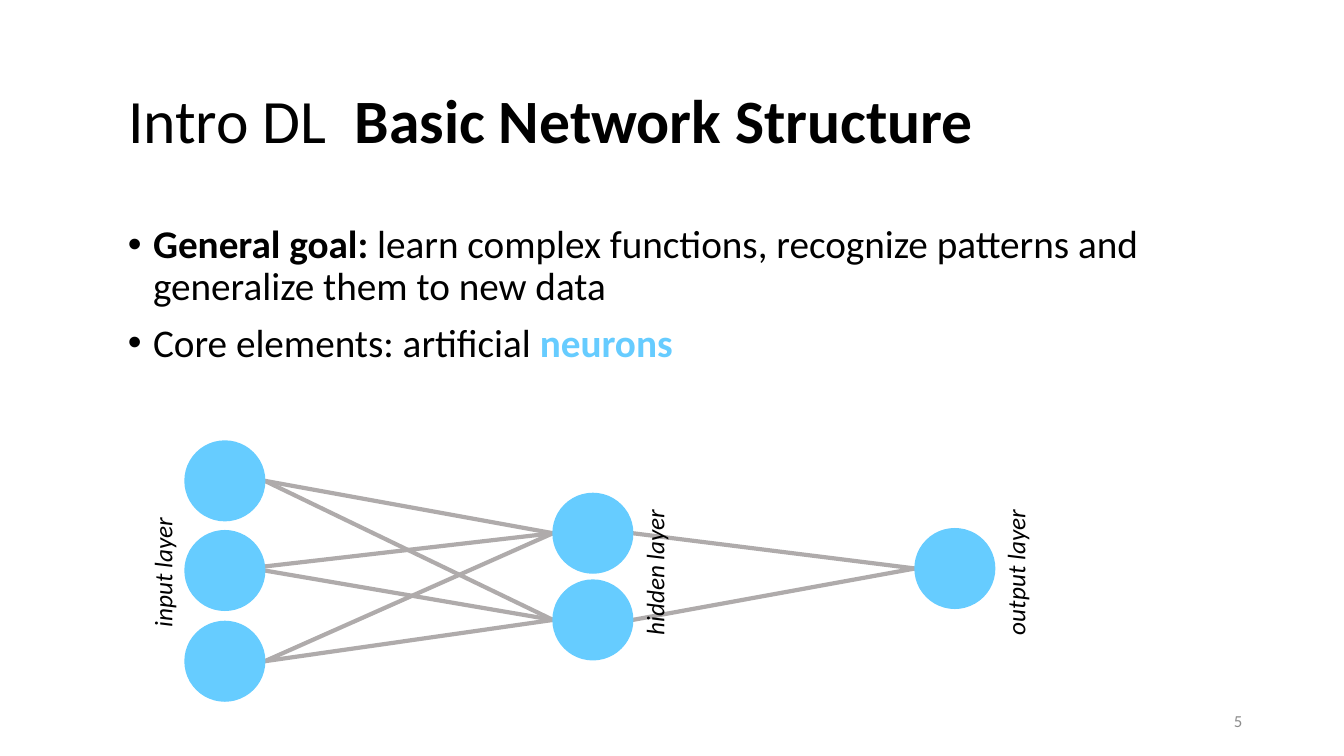
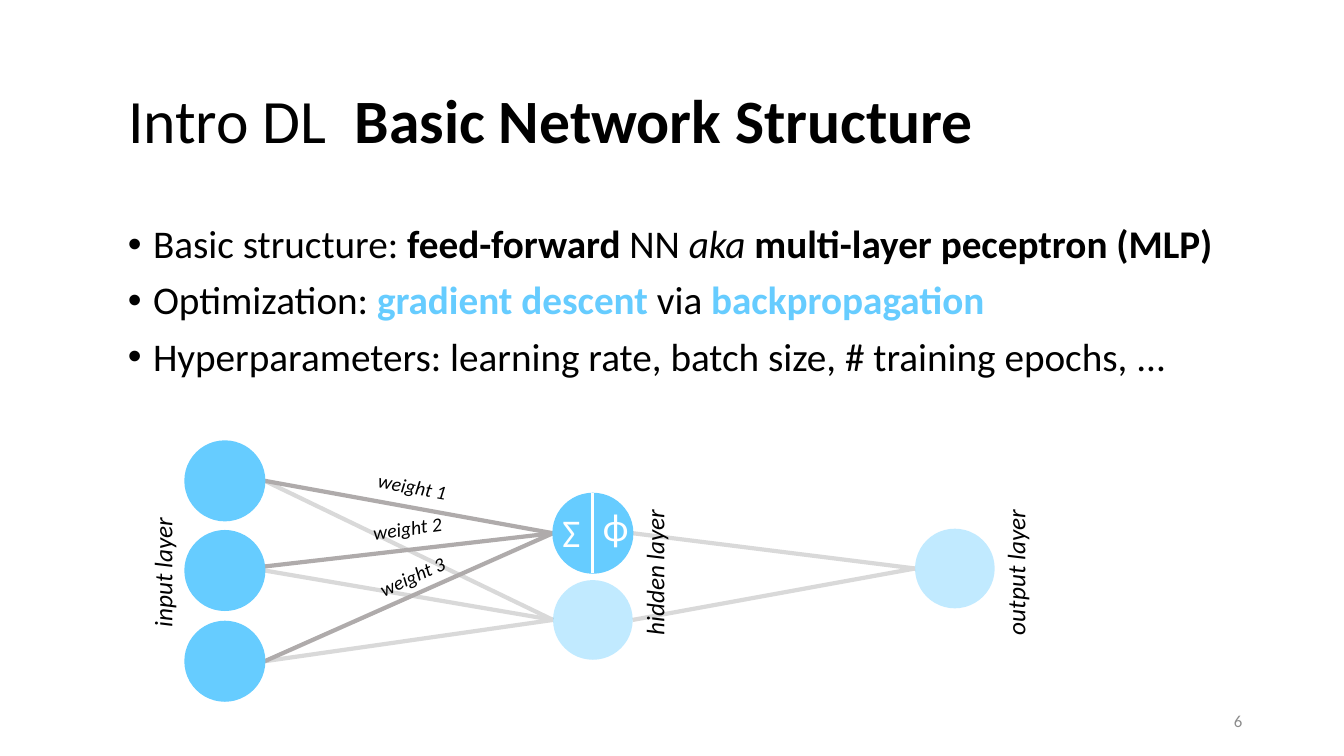
from itertools import product

from lxml import etree
from pptx import Presentation
from pptx.dml.color import RGBColor
from pptx.enum.shapes import MSO_CONNECTOR, MSO_SHAPE
from pptx.enum.text import MSO_ANCHOR, MSO_AUTO_SIZE, PP_ALIGN
from pptx.oxml.ns import qn
from pptx.util import Inches, Pt

STRAIGHT = MSO_CONNECTOR.STRAIGHT
OVAL = MSO_SHAPE.OVAL
MIDDLE = MSO_ANCHOR.MIDDLE
NO_FIT = MSO_AUTO_SIZE.NONE
LEFT, CENTER, RIGHT = PP_ALIGN.LEFT, PP_ALIGN.CENTER, PP_ALIGN.RIGHT

FONT = "Calibri"
BLACK, WHITE, BLUE = "000000", "FFFFFF", "66CCFF"
LINK_GRAY, FAINT_GRAY, NUMBER_GRAY = "AFABAB", "D9D9D9", "8C8C8C"
BOLD = {"bold": True}
ITALIC = {"italic": True}
ACCENT = {"bold": True, "color": BLUE}

DIAMETER = 0.79
FAINT_OPACITY = 40
# Each layer: horizontal centre, then the vertical centres of its neurons
LAYERS = {
    "input": (2.23, [4.77, 5.66, 6.56]),
    "hidden": (5.88, [5.29, 6.15]),
    "output": (9.47, [5.64]),
}
LAYER_LABEL_CENTERS = {"input": 1.61, "hidden": 6.49, "output": 10.07}
LABEL_MIDDLE = 5.68
# The middle input sends its first link out slightly above its centre
START_SHIFTS = {(("input", 1), ("hidden", 0)): -0.04}
NEURONS = [(name, index) for name, (_, middles) in LAYERS.items()
           for index in range(len(middles))]


def rgb(value):
    """Turn a hex string into a colour."""
    return RGBColor.from_string(value)


def set_attributes(target, values):
    """Set every attribute named in a dict."""
    for name, value in values.items():
        setattr(target, name, value)


class Deck:
    """Holds the presentation, its shared style and the current slide."""

    def __init__(self):
        """Start an empty widescreen presentation."""
        self.presentation = Presentation()
        set_attributes(self.presentation, {
            "slide_width": Inches(13.33), "slide_height": Inches(7.5)})
        self.slide = None

    def start_slide(self, number, title_runs):
        """Add a slide with its title and slide number."""
        layout = self.presentation.slide_layouts[5]
        self.slide = self.presentation.slides.add_slide(layout)
        title = self.slide.shapes.title
        set_attributes(title, {
            "left": Inches(1.17), "top": Inches(0.61),
            "width": Inches(11.25), "height": Inches(1.23)})
        set_attributes(title.text_frame, {
            "vertical_anchor": MIDDLE, "word_wrap": True, "auto_size": NO_FIT})
        paragraph = title.text_frame.paragraphs[0]
        set_attributes(paragraph, {"alignment": LEFT, "line_spacing": 0.9})
        self.add_runs(paragraph, title_runs, 44)
        self.text(9.42, 6.95, 3, 0.4, [(str(number), {"color": NUMBER_GRAY})],
                  12, RIGHT).text_frame.vertical_anchor = MIDDLE

    def add_runs(self, paragraph, runs, size):
        """Add (text, format) runs to a paragraph."""
        for text, values in runs:
            run = paragraph.add_run()
            run.text = text
            font_values = {"name": FONT, "size": Pt(size),
                           "bold": False, "italic": False, **values}
            run.font.color.rgb = rgb(font_values.pop("color", BLACK))
            set_attributes(run.font, font_values)

    def text(self, left, top, width, height, runs, size, alignment=LEFT):
        """Add a one-paragraph text box."""
        box = self.slide.shapes.add_textbox(
            Inches(left), Inches(top), Inches(width), Inches(height))
        box.text_frame.word_wrap = True
        paragraph = box.text_frame.paragraphs[0]
        paragraph.alignment = alignment
        self.add_runs(paragraph, runs, size)
        return box

    def label(self, center, middle, height, text, size, rotation):
        """Add a rotated italic label around a centre point."""
        width = 1.47
        box = self.text(center - width / 2, middle - height / 2, width, height,
                        [(text, ITALIC)], size, CENTER)
        box.rotation = rotation

    def bullets(self, items):
        """Add the bulleted body text."""
        box = self.slide.shapes.add_textbox(
            Inches(1.17), Inches(2.18), Inches(11.03), Inches(5.32))
        frame = box.text_frame
        frame.word_wrap = True
        for index, runs in enumerate(items):
            paragraph = frame.add_paragraph() if index else frame.paragraphs[0]
            set_attributes(paragraph, {
                "line_spacing": 0.9, "space_before": Pt(10)})
            self.add_runs(paragraph, runs, 28)
            properties = paragraph._p.get_or_add_pPr()
            properties.set("marL", str(Inches(0.25)))
            properties.set("indent", str(Inches(-0.25)))
            etree.SubElement(properties, qn("a:buFont"), typeface="Arial")
            etree.SubElement(properties, qn("a:buChar"), char="\u2022")

    def line(self, start, end, color, width=3):
        """Add a straight line between two points."""
        connector = self.slide.shapes.add_connector(
            STRAIGHT, *(Inches(value) for value in (*start, *end)))
        connector.line.color.rgb = rgb(color)
        connector.line.width = Pt(width)
        etree.SubElement(connector._element.spPr, qn("a:effectLst"))

    def neuron(self, center, middle, active):
        """Add a neuron: solid when active, see-through otherwise."""
        circle = self.slide.shapes.add_shape(
            OVAL, Inches(center - DIAMETER / 2), Inches(middle - DIAMETER / 2),
            Inches(DIAMETER), Inches(DIAMETER))
        circle.shadow.inherit = False
        circle.fill.solid()
        circle.fill.fore_color.rgb = rgb(BLUE)
        if active:
            circle.line.color.rgb = rgb(BLUE)
            circle.line.width = Pt(1)
        else:
            circle.line.fill.background()
            color = circle._element.spPr.find(".//" + qn("a:srgbClr"))
            etree.SubElement(color, qn("a:alpha"), val=str(FAINT_OPACITY * 1000))

    def network(self, active):
        """Draw the network; a link is active when both its ends are."""
        names = list(LAYERS)
        links = [(start, end) for start, end in product(NEURONS, NEURONS)
                 if names.index(end[0]) - names.index(start[0]) == 1]
        links.sort(key=active.issuperset)
        for start, end in links:
            (start_center, start_middles), (end_center, end_middles) = (
                LAYERS[start[0]], LAYERS[end[0]])
            shift = START_SHIFTS.get((start, end), 0)
            self.line(
                (start_center + DIAMETER / 2, start_middles[start[1]] + shift),
                (end_center - DIAMETER / 2, end_middles[end[1]]),
                LINK_GRAY if active.issuperset((start, end)) else FAINT_GRAY)
        for name, index in NEURONS:
            center, middles = LAYERS[name]
            self.neuron(center, middles[index], (name, index) in active)
        for name, center in LAYER_LABEL_CENTERS.items():
            self.label(center, LABEL_MIDDLE, 0.4, f"{name} layer", 18, 270)

    def split_neuron(self):
        """Split the first hidden neuron into sum and activation."""
        center, middles = LAYERS["hidden"]
        for left, top, symbol in ((5.48, 4.99, "\u03a3"), (5.88, 4.93, "\u03d5")):
            self.text(left, top, 0.28, 0.57, [(symbol, {"color": WHITE})], 28)
        self.line((center, middles[0] - DIAMETER / 2),
                  (center, middles[0] + DIAMETER / 2), WHITE, 2.25)


TITLE = [("Intro DL  ", {}), ("Basic Network Structure", BOLD)]
WEIGHT_LABELS = [(4.09, 4.83, 10.5), (4.04, 5.24, 352.3), (4.09, 5.72, 335.9)]


def build():
    """Build both slides and save the file."""
    deck = Deck()

    deck.start_slide(5, TITLE)
    deck.bullets([
        [("General goal: ", BOLD),
         ("learn complex functions, recognize patterns and "
          "generalize them to new data", {})],
        [("Core elements: artificial ", {}), ("neurons", ACCENT)],
    ])
    deck.network(set(NEURONS))

    deck.start_slide(6, TITLE)
    deck.bullets([
        [("Basic structure: ", {}), ("feed-forward ", BOLD), ("NN ", {}),
         ("aka ", ITALIC), ("multi-layer peceptron (MLP)", BOLD)],
        [("Optimization: ", {}), ("gradient descent ", ACCENT),
         ("via ", {}), ("backpropagation", ACCENT)],
        [("Hyperparameters: learning rate, batch size, "
          "# training epochs, ...", {})],
    ])
    deck.network({neuron for neuron in NEURONS if neuron[0] == "input"}
                 | {("hidden", 0)})
    for number, (center, middle, rotation) in enumerate(WEIGHT_LABELS, 1):
        deck.label(center, middle, 0.34, f"weight {number}", 14, rotation)
    deck.split_neuron()

    deck.presentation.save("out.pptx")


build()
